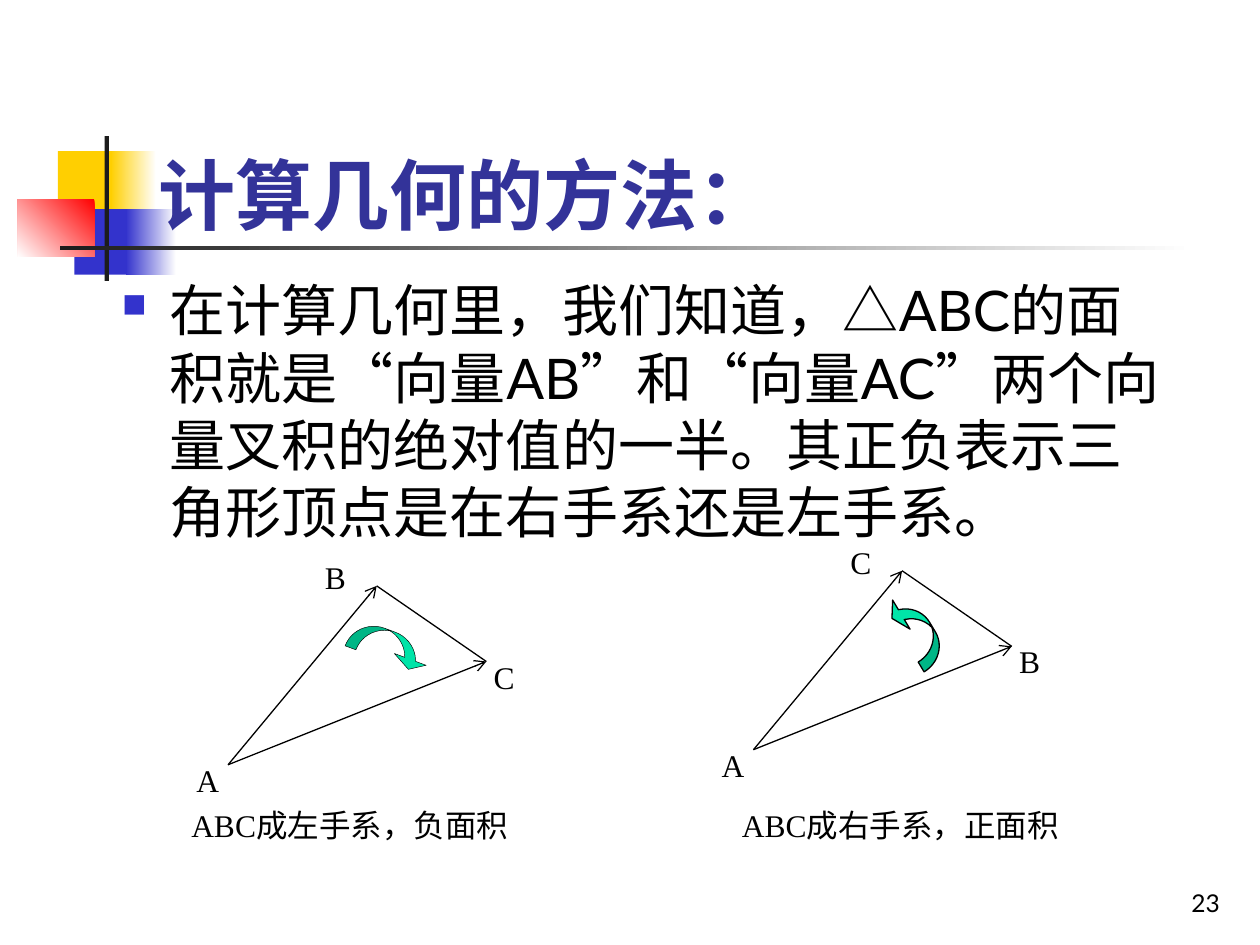
from collections import namedtuple

from lxml.etree import SubElement
from pptx import Presentation
from pptx.dml.color import RGBColor
from pptx.enum.shapes import MSO_CONNECTOR, MSO_SHAPE
from pptx.enum.text import MSO_ANCHOR, PP_ALIGN
from pptx.oxml.ns import qn
from pptx.util import Inches, Pt

# The slide is a grid of 100 columns by 75 rows; boxes are given in its cells.
COLUMNS, ROWS = 100, 75
CELL = Inches(0.1)
BLACK, WHITE, BLUE, YELLOW, RED, DARK = (
    "000000", "FFFFFF", "3333CC", "FFCF01", "FF0000", "1C1C1C")
SANS, SERIF = "Lato", "Times New Roman"

Box = namedtuple("Box", "left top width height")


def inside(box, left, top, width, height):
    return Box(box.left + left, box.top + top, width, height)


def emu(*cells):
    return [round(cell * CELL) for cell in cells]


def color(value):
    return RGBColor.from_string(value)


def add_text(slide, box, text, size=18, font=SERIF, fill=BLACK, bold=False,
             align=PP_ALIGN.LEFT, anchor=MSO_ANCHOR.TOP, bullet=None):
    frame = slide.shapes.add_textbox(*emu(*box)).text_frame
    frame.word_wrap = True
    frame.vertical_anchor = anchor
    paragraph = frame.paragraphs[0]
    paragraph.alignment = align
    if bullet:
        add_bullet(paragraph, bullet)
    run = paragraph.add_run()
    run.text = text
    run.font.size = Pt(size)
    run.font.name = font
    run.font.bold = bold
    run.font.color.rgb = color(fill)


def add_bullet(paragraph, character, indent=0.38, share=60):
    properties = paragraph._p.get_or_add_pPr()
    properties.set("marL", str(Inches(indent)))
    properties.set("indent", str(-Inches(indent)))
    bullet_color = SubElement(properties, qn("a:buClr"))
    SubElement(bullet_color, qn("a:srgbClr"), val=BLUE)
    SubElement(properties, qn("a:buSzPct"), val=str(share * 1000))
    SubElement(properties, qn("a:buChar"), char=character)


def add_block(slide, box, *fills, angle=180):
    """Rectangle with one plain colour or a gradient between two."""
    shape = slide.shapes.add_shape(MSO_SHAPE.RECTANGLE, *emu(*box))
    shape.shadow.inherit = False
    shape.line.fill.background()
    if len(fills) == 1:
        shape.fill.solid()
        shape.fill.fore_color.rgb = color(fills[0])
        return
    shape.fill.gradient()
    shape.fill.gradient_angle = angle
    for stop, position, value in zip(shape.fill.gradient_stops, (0, 1), fills):
        stop.position = position
        stop.color.rgb = color(value)


def add_side(slide, start, end, arrow=False):
    connector = slide.shapes.add_connector(
        MSO_CONNECTOR.STRAIGHT, *emu(*start, *end))
    connector.line.width = Pt(0.75)
    connector.line.color.rgb = color(BLACK)
    if arrow:
        SubElement(connector.line._get_or_add_ln(), qn("a:tailEnd"), type="arrow")
    SubElement(connector._element.spPr, qn("a:effectLst"))


def add_turn(slide, box, kind, rotation, line_width):
    shape = slide.shapes.add_shape(kind, *emu(*box))
    shape.shadow.inherit = False
    shape.rotation = rotation
    for index, value in enumerate((0.38, 1.12, 0.33)):
        shape.adjustments[index] = value
    shape.fill.solid()
    shape.fill.fore_color.rgb = color("00E4A8")
    shape.line.color.rgb = color(BLACK)
    shape.line.width = Pt(line_width)


def draw_ornament(slide, box):
    add_block(slide, inside(box, 3.2, 1.2, 4.8, 5.2), YELLOW)
    add_block(slide, inside(box, 7.4, 1.2, 3.6, 5.2), WHITE, YELLOW)
    add_block(slide, inside(box, 4.5, 5.8, 4.6, 5.2), BLUE)
    add_block(slide, inside(box, 8.6, 5.8, 4, 5.2), WHITE, BLUE)
    add_block(slide, inside(box, 0, 5, 6.1, 4.6), RED, WHITE, angle=225)
    add_block(slide, inside(box, 6.9, 0, 0.35, 11.5), DARK)
    add_block(slide, inside(box, 3.4, 8.7, 90, 0.35), WHITE, DARK)


def draw_triangle(slide, box, upper, right, turn):
    """Triangle with vectors from A to its upper and right corners."""
    corner_a, corner_upper, corner_right = (
        (box.left + x, box.top + y) for x, y in ((3.5, 16.9), (15.3, 2.7), (24, 8.7)))
    add_side(slide, corner_a, corner_upper, arrow=True)
    add_side(slide, corner_a, corner_right, arrow=True)
    add_side(slide, corner_upper, corner_right)
    for label, x, y in ((upper, 10.2, 0), (right, 23.6, 7.9), ("A", 0, 16.1)):
        add_text(slide, inside(box, x, y, 6.3, 4), label)
    place, *style = turn
    add_turn(slide, inside(box, *place), *style)


def main():
    presentation = Presentation()
    presentation.slide_width, presentation.slide_height = emu(COLUMNS, ROWS)
    slide = presentation.slides.add_slide(presentation.slide_layouts[6])

    draw_ornament(slide, Box(1.4, 10.8, 93.4, 11.5))
    add_text(slide, Box(11.6, 9.9, 56.1, 9.6), "计算几何的方法：", size=44,
             font=SANS, fill="333399", bold=True, anchor=MSO_ANCHOR.BOTTOM)
    add_text(slide, Box(8.7, 21.4, 85, 24.4),
             "在计算几何里，我们知道，△ABC的面积就是“向量AB”和“向量AC”两个"
             "向量叉积的绝对值的一半。其正负表示三角形顶点是在右手系还是左手系。",
             size=32, font=SANS, bullet="■")

    for left, caption in ((14.2, "ABC成左手系，负面积"), (57.9, "ABC成右手系，正面积")):
        add_text(slide, Box(left, 63.5, 30.7, 4), caption)
    draw_triangle(slide, Box(14.6, 43.8, 29.9, 20.1), "B", "C",
                  ((13, 6.3, 6.7, 2.4), MSO_SHAPE.CURVED_DOWN_ARROW, 20.4, 0.25))
    draw_triangle(slide, Box(56.3, 42.6, 29.9, 20.1), "C", "B",
                  ((13.3, 6.2, 6.3, 2.4), MSO_SHAPE.CURVED_UP_ARROW, 239, 0.75))

    add_text(slide, Box(77, 68.3, 20.8, 5), "23", size=14, font=SANS,
             align=PP_ALIGN.RIGHT, anchor=MSO_ANCHOR.BOTTOM)
    presentation.save("out.pptx")


if __name__ == "__main__":
    main()
